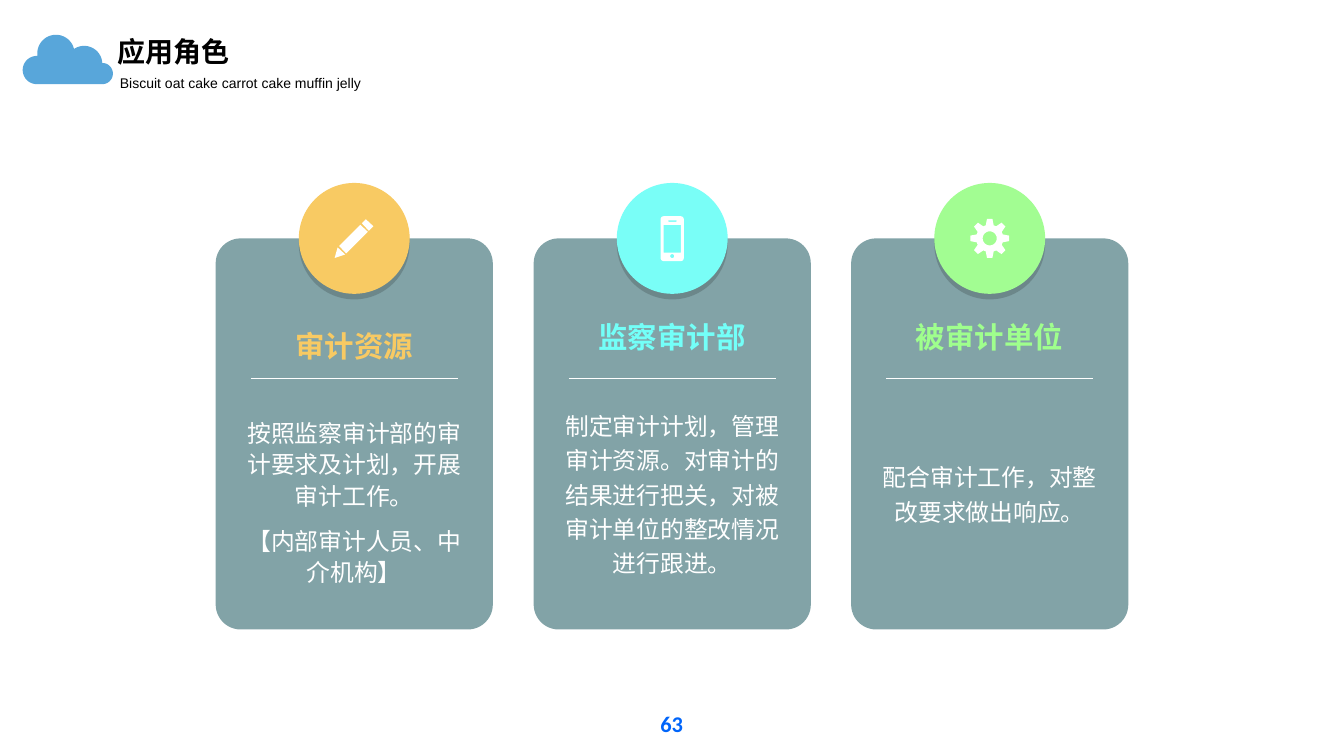
from dataclasses import dataclass
from math import cos, radians, sin

from lxml import etree
from pptx import Presentation
from pptx.dml.color import RGBColor
from pptx.enum.shapes import MSO_CONNECTOR, MSO_SHAPE
from pptx.enum.text import MSO_ANCHOR, PP_ALIGN
from pptx.oxml.ns import qn
from pptx.util import Emu, Pt

PX = 9144  # EMU per px, 100 px to the inch
ROUND_RECT, OVAL = MSO_SHAPE.ROUNDED_RECTANGLE, MSO_SHAPE.OVAL
STRAIGHT = MSO_CONNECTOR.STRAIGHT
LEFT, CENTER = PP_ALIGN.LEFT, PP_ALIGN.CENTER
TOP, MIDDLE = MSO_ANCHOR.TOP, MSO_ANCHOR.MIDDLE
CJK = "Noto Sans CJK SC"
WHITE, BLACK = "FFFFFF", "000000"
CARD_X, CARD_Y, CARD_W, CARD_H = 428, 473, 550, 776
PITCH = 1261  # two card steps
BADGE = 220

Point = tuple[float, float]
Contour = list[Point]


@dataclass
class Style:
    size: int
    color: str
    bold: bool = False
    font: str = "Arial"
    align: int = CENTER
    anchor: int = MIDDLE
    inset: int = 0
    spacing: float = 1.0
    before: int = 0


@dataclass
class Card:
    title: str
    body: list[str]
    title_color: str
    badge_color: str
    icon: list[Contour]
    spacing: float = 1.2
    title_y: int = 616
    body_y: int = 752


def px(*values: float) -> list[Emu]:
    return [Emu(round(v * PX)) for v in values]


def rgb(color: str) -> RGBColor:
    return RGBColor.from_string(color)


def child(parent, tag: str, **attrs: str):
    return etree.SubElement(parent, qn(tag), attrs)


def arc(cx: float, cy: float, r: float, start: float, end: float, steps: int = 24) -> Contour:
    angles = [radians(start + (end - start) * i / steps) for i in range(steps + 1)]
    return [(cx + r * cos(a), cy + r * sin(a)) for a in angles]


def rounded(x: float, y: float, w: float, h: float, r: float) -> Contour:
    corners = [(x + w - r, y + r), (x + w - r, y + h - r), (x + r, y + h - r), (x + r, y + r)]
    return [p for i, (cx, cy) in enumerate(corners)
            for p in arc(cx, cy, r, 90 * i - 90, 90 * i, 6)]


def gear() -> list[Contour]:
    tooth = [(27, -21), (27, -17), (39, -8), (39, 8), (27, 17)]
    rim = [(r * cos(radians(a + 45 * i)), r * sin(radians(a + 45 * i)))
           for i in range(8) for r, a in tooth]
    return [rim, arc(0, 0, 14, 0, -360)]


def paint(sp, color: str, opacity: int = 100) -> None:
    sp.shadow.inherit = False
    sp.fill.solid()
    sp.fill.fore_color.rgb = rgb(color)
    sp.line.fill.background()
    if opacity < 100:
        clr = sp.fill._xPr.find(qn("a:solidFill"))[0]
        child(clr, "a:alpha", val=str(opacity * 1000))


def add_outline(shapes, contours: list[Contour], color: str, dx: int = 0, dy: int = 0) -> None:
    moved = [[px(x + dx, y + dy) for x, y in c] for c in contours]
    builder = shapes.build_freeform(*moved[0][0], scale=1.0)
    for i, points in enumerate(moved):
        if i:
            builder.move_to(*points[0])
        builder.add_line_segments(points[1:], close=True)
    paint(builder.convert_to_shape(), color)


def add_text(shapes, box: tuple[int, ...], lines: list[str], style: Style) -> None:
    tf = shapes.add_textbox(*px(*box)).text_frame
    inset = px(style.inset)[0]
    frame = dict(word_wrap=True, vertical_anchor=style.anchor, margin_left=inset,
                 margin_right=inset, margin_top=inset, margin_bottom=inset)
    for name, value in frame.items():
        setattr(tf, name, value)
    for i, line in enumerate(lines):
        p = tf.add_paragraph() if i else tf.paragraphs[0]
        p.alignment, p.line_spacing = style.align, style.spacing
        if i:
            p.space_before = Pt(style.before)
        r = p.add_run()
        r.text = line
        for name, value in dict(size=Pt(style.size), bold=style.bold, name=style.font).items():
            setattr(r.font, name, value)
        r.font.color.rgb = rgb(style.color)
        child(r.font._element, "a:ea", typeface=CJK)


def add_rule(shapes, x: int, y: int, width: int) -> None:
    line = shapes.add_connector(STRAIGHT, *px(x, y, x + width, y))
    line.line.color.rgb = rgb(WHITE)
    line.line.width = Pt(1)
    child(line._element.spPr, "a:effectLst")


def add_badge(shapes, x: int, y: int, color: str) -> None:
    sp = shapes.add_shape(OVAL, *px(x, y, BADGE, BADGE))
    paint(sp, color)
    effects = sp._element.spPr.find(qn("a:effectLst"))
    shadow = child(effects, "a:outerShdw", blurRad="0", dist=str(Pt(8)), dir="5400000",
                   algn="t", rotWithShape="0")
    child(child(shadow, "a:srgbClr", val=BLACK), "a:alpha", val="17000")


def add_card(slide, x: int, card: Card) -> None:
    shapes = slide.shapes.add_group_shape().shapes
    panel = shapes.add_shape(ROUND_RECT, *px(x, CARD_Y, CARD_W, CARD_H))
    panel.adjustments[0] = 0.09
    paint(panel, "064951", 50)
    add_text(shapes, (x + 33, card.title_y, 483, 97), [card.title],
             Style(42, card.title_color, bold=True, spacing=1.1))
    add_text(shapes, (x + 55, card.body_y, 440, 447), card.body,
             Style(34, WHITE, spacing=card.spacing, before=20))
    add_rule(shapes, x + 70, 751, 410)
    center = x + CARD_W // 2
    add_badge(shapes, center - BADGE // 2, CARD_Y - BADGE // 2, card.badge_color)
    add_outline(shapes, card.icon, WHITE, center, CARD_Y)


# Icons, drawn around the badge centre
PENCIL = [[(-39, 39), (-33, 18), (-18, 32)],
          [(-16, 30), (-30, 15), (12, -27), (27, -13)],
          [(29, -15), (15, -30), (23, -38), (38, -24)]]
PHONE = [rounded(-23, -44, 46, 89, 6),
         [(-17, -27), (-17, 28), (17, 28), (17, -27)],
         rounded(-8, -36, 17, 3, 1.5)[::-1],
         arc(0, 35, 4, 0, -360)]
CLOUD = [arc(167, 127, 36, -3, -124) + arc(111, 106, 37, -14, -188)
         + arc(73, 139, 28, -90, -270) + arc(203, 146, 21, 90, -90)]

CARDS = [
    Card("审计资源", ["按照监察审计部的审计要求及计划，开展审计工作。", "【内部审计人员、中介机构】"],
         "F8CA63", "F8CA63", PENCIL, spacing=1.1, title_y=634, body_y=771),
    Card("监察审计部",
         ["制定审计计划，管理审计资源。对审计的结果进行把关，对被审计单位的整改情况进行跟进。"],
         "73FFF8", "79FEF7", PHONE),
    Card("被审计单位", ["配合审计工作，对整改要求做出响应。"], "9FFF8D", "A2FD92", gear()),
]


def main() -> None:
    prs = Presentation()
    prs.slide_width, prs.slide_height = px(2667, 1500)
    s = prs.slides.add_slide(prs.slide_layouts[6])

    # Page number
    add_text(s.shapes, (1286, 1399, 94, 73), ["63"],
             Style(32, "0065FA", bold=True, font="Calibri", inset=10))

    # Role cards
    for i, card in enumerate(CARDS):
        add_card(s, CARD_X + (PITCH * i + 1) // 2, card)

    # Heading
    add_text(s.shapes, (224, 59, 752, 98), ["应用角色"],
             Style(40, BLACK, bold=True, font=CJK, align=LEFT, anchor=TOP, inset=10))
    add_text(s.shapes, (228, 138, 586, 51), ["Biscuit oat cake carrot cake muffin jelly"],
             Style(20, BLACK, align=LEFT, anchor=TOP, inset=10))
    add_outline(s.shapes, CLOUD, "58A6DA")

    prs.save("out.pptx")


if __name__ == "__main__":
    main()
